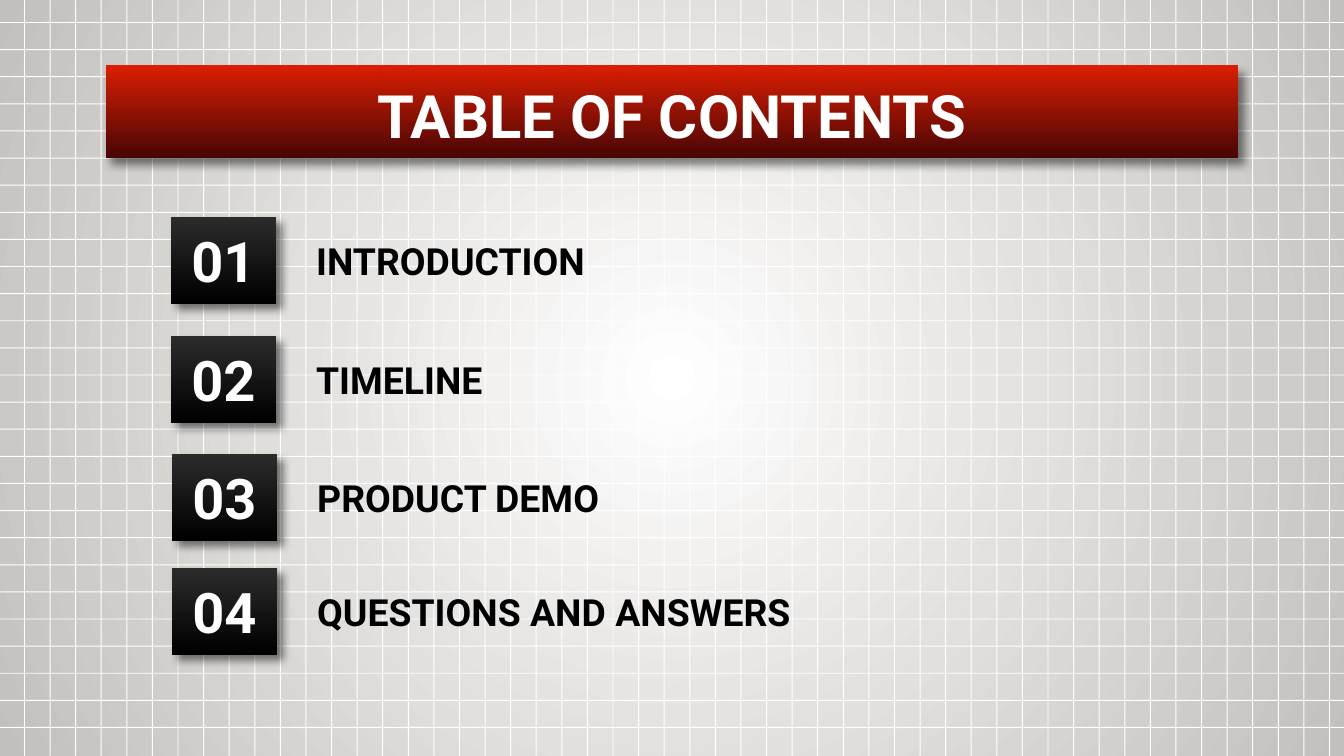
import pptx
import pptx.dml.color
import pptx.enum.shapes
import pptx.enum.text
import pptx.oxml.ns
import pptx.util
from lxml import etree

PX = 914400 / 134.4
WIDTH, HEIGHT = 1344, 756
COLORS = {
    "white": "FFFFFF",
    "black": "000000",
    "backdrop_edge": "C2C0BC",
    "banner_top": "DB1F02",
    "banner_bottom": "490504",
    "tile_top": "2B2B2B",
}
ANCHOR = pptx.enum.text.MSO_ANCHOR
ALIGN = pptx.enum.text.PP_ALIGN
BANNER_TEXT = {"size": 32, "color": "white", "align": ALIGN.CENTER, "anchor": ANCHOR.TOP}
NUMBER_TEXT = {"size": 30, "color": "white", "align": ALIGN.CENTER, "anchor": ANCHOR.MIDDLE}
LABEL_TEXT = {"size": 20, "color": "black", "align": ALIGN.LEFT, "anchor": ANCHOR.BOTTOM}

presentation = pptx.Presentation()
presentation.slide_width = round(WIDTH * PX)
presentation.slide_height = round(HEIGHT * PX)
slide = presentation.slides.add_slide(presentation.slide_layouts[6])


def add_box(left, top, width, height, colors, shadow_angle=None):
    """Add a borderless rectangle: one colour is solid, two run from top to bottom."""
    box = slide.shapes.add_shape(
        pptx.enum.shapes.MSO_SHAPE.RECTANGLE,
        *(round(length * PX) for length in (left, top, width, height)),
    )
    box.line.fill.background()
    box.shadow.inherit = False
    if len(colors) == 1:
        box.fill.solid()
        box.fill.fore_color.rgb = pptx.dml.color.RGBColor.from_string(COLORS[colors[0]])
    else:
        box.fill.gradient()
        box.fill.gradient_angle = 270
        for stop, color in zip(box.fill.gradient_stops, colors):
            stop.color.rgb = pptx.dml.color.RGBColor.from_string(COLORS[color])
    if shadow_angle is not None:
        qn = pptx.oxml.ns.qn
        effects = box._element.spPr.find(qn("a:effectLst"))
        shadow = etree.SubElement(effects, qn("a:outerShdw"), {
            "blurRad": str(pptx.util.Pt(4.5)),
            "dist": str(pptx.util.Pt(4.5)),
            "dir": str(shadow_angle * 60000),
            "algn": "bl",
            "rotWithShape": "0",
        })
        shadow_color = etree.SubElement(shadow, qn("a:srgbClr"), val=COLORS["black"])
        etree.SubElement(shadow_color, qn("a:alpha"), val="50000")
    return box


def write_text(shape, text, style):
    frame = shape.text_frame
    inset = pptx.util.Inches(0.1)
    frame_format = {
        "word_wrap": True,
        "vertical_anchor": style["anchor"],
        "margin_left": inset,
        "margin_top": inset,
        "margin_right": inset,
        "margin_bottom": inset,
    }
    for name, value in frame_format.items():
        setattr(frame, name, value)
    paragraph = frame.paragraphs[0]
    paragraph.alignment = style["align"]
    run = paragraph.add_run()
    run.text = text
    font_format = {"name": "Roboto", "size": pptx.util.Pt(style["size"]), "bold": True}
    for name, value in font_format.items():
        setattr(run.font, name, value)
    run.font.color.rgb = pptx.dml.color.RGBColor.from_string(COLORS[style["color"]])


# Background: white centre fading outwards
backdrop = slide.background.fill
backdrop.gradient()
for stop, color in zip(backdrop.gradient_stops, ("white", "backdrop_edge")):
    stop.color.rgb = pptx.dml.color.RGBColor.from_string(COLORS[color])
linear = slide.background._cSld.find(".//" + pptx.oxml.ns.qn("a:lin"))
circle = etree.Element(pptx.oxml.ns.qn("a:path"), path="circle")
etree.SubElement(
    circle, pptx.oxml.ns.qn("a:fillToRect"), {side: "50000" for side in "ltrb"}
)
linear.getparent().replace(linear, circle)

# Grid lines
COLUMNS, ROWS = 52, 27
for column in range(COLUMNS):
    add_box(24 + column * (1329 - 24) / (COLUMNS - 1), 0, 1, HEIGHT, ["white"])
for row in range(ROWS):
    add_box(0, 22 + row * (727 - 22) / (ROWS - 1), WIDTH, 1, ["white"])

# Title banner
banner = add_box(106, 65, 1132, 93, ["banner_top", "banner_bottom"], 52)
write_text(banner, "TABLE OF CONTENTS", BANNER_TEXT)

# Numbered contents
contents = [
    ("INTRODUCTION", 171, 217, 525),
    ("TIMELINE", 171, 336, 525),
    ("PRODUCT DEMO", 172, 454, 525),
    ("QUESTIONS AND ANSWERS", 172, 568, 590),
]
for number, (topic, left, top, label_width) in enumerate(contents, start=1):
    tile = add_box(left, top, 105, 87, ["tile_top", "black"], 43)
    write_text(tile, f"{number:02}", NUMBER_TEXT)
    label = slide.shapes.add_textbox(
        *(round(length * PX) for length in (left + 132, top + 8, label_width, 71))
    )
    write_text(label, topic, LABEL_TEXT)

presentation.save("out.pptx")
